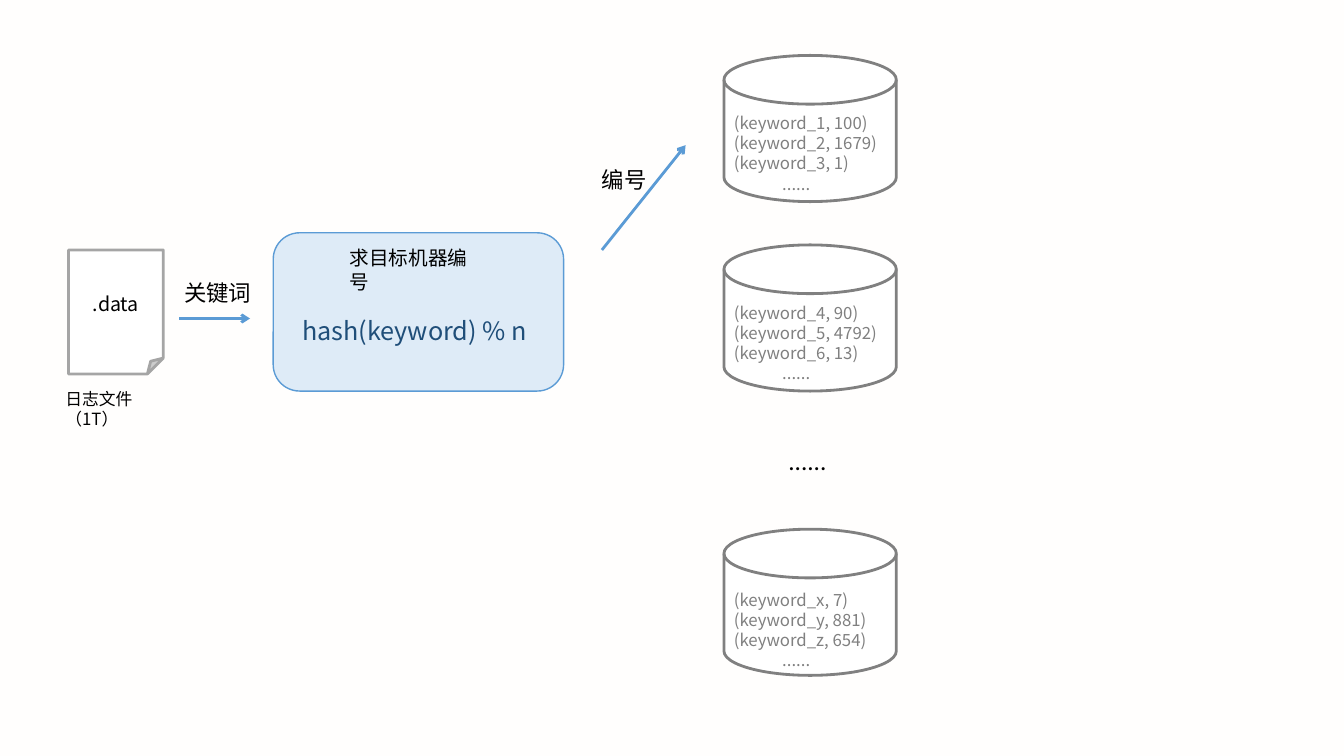
from lxml import etree
from pptx import Presentation
from pptx.dml.color import RGBColor
from pptx.enum.shapes import MSO_CONNECTOR, MSO_SHAPE
from pptx.enum.text import MSO_ANCHOR, PP_ALIGN
from pptx.oxml.ns import qn
from pptx.util import Pt

PX = 9144
CJK_FONT = "Noto Sans CJK SC"
STRAIGHT = MSO_CONNECTOR.STRAIGHT
FOLDED_CORNER = MSO_SHAPE.FOLDED_CORNER
ROUNDED = MSO_SHAPE.ROUNDED_RECTANGLE
DISK = MSO_SHAPE.FLOWCHART_MAGNETIC_DISK
MIDDLE = MSO_ANCHOR.MIDDLE
LEFT, CENTER = PP_ALIGN.LEFT, PP_ALIGN.CENTER
BLACK, WHITE, GRAY, BLUE = "000000", "FFFFFF", "808080", "5B9BD5"
BLANK_LAYOUT = 6
DISK_WIDTH, DISK_HEIGHT = 171, 145
DOTS_INDENT = 48


def color(value):
    return RGBColor.from_string(value)


def emu(*lengths):
    return [length * PX for length in lengths]


def write_lines(frame, lines, size, text_color=BLACK, font=CJK_FONT, align=LEFT):
    frame.text = "\n".join(lines)
    for paragraph in frame.paragraphs:
        paragraph.alignment = align
        paragraph.line_spacing = Pt(size * 1.2)
        paragraph.font.size = Pt(size)
        paragraph.font.name = font
        paragraph.font.color.rgb = color(text_color)
        properties = paragraph.font._element
        etree.SubElement(properties, qn("a:ea")).set("typeface", font)


def add_label(slide, box, lines, size, text_color=BLACK, font=CJK_FONT, wrap=False):
    frame = slide.shapes.add_textbox(*emu(*box)).text_frame
    frame.word_wrap = wrap
    write_lines(frame, lines, size, text_color, font)
    return frame


def add_outlined(slide, kind, box, fill, line, width):
    shape = slide.shapes.add_shape(kind, *emu(*box))
    shape.shadow.inherit = False
    shape.fill.solid()
    shape.fill.fore_color.rgb = color(fill)
    shape.line.color.rgb = color(line)
    shape.line.width = Pt(width)
    return shape


def add_arrow(slide, start, end):
    connector = slide.shapes.add_connector(STRAIGHT, *emu(*start, *end))
    connector.line.color.rgb = color(BLUE)
    connector.line.width = Pt(2)
    line = connector.line._get_or_add_ln()
    etree.SubElement(line, qn("a:tailEnd")).set("type", "arrow")
    etree.SubElement(connector._element.spPr, qn("a:effectLst"))


def add_log_file(slide, left, top):
    file = add_outlined(slide, FOLDED_CORNER, (left, top, 94, 123), WHITE, "A5A5A5", 2)
    file.text_frame.vertical_anchor = MIDDLE
    write_lines(file.text_frame, [".data"], 14, align=CENTER)
    add_label(slide, (left - 13, top + 133, 130, 50), ["日志文件（1T）"], 12, wrap=True)


def add_hash_step(slide, left, top):
    add_outlined(slide, ROUNDED, (left, top, 288, 157), "DEEBF7", BLUE, 1)
    add_label(slide, (left + 66, top + 8, 150, 58), ["求目标机器编号"], 14, wrap=True)
    add_label(slide, (left + 19, top + 77, 251, 40), ["hash(keyword) % n"], 18, "1F4E79")


def add_machine(slide, left, top, text_offset, counts):
    add_outlined(slide, DISK, (left, top, DISK_WIDTH, DISK_HEIGHT), WHITE, GRAY, 2)
    lines = [f"({keyword}, {count})" for keyword, count in counts] + ["......"]
    frame = add_label(slide, (left, top + text_offset, DISK_WIDTH, 91), lines, 12, GRAY, wrap=True)
    dots = frame.paragraphs[-1]._p.get_or_add_pPr()
    dots.set("marL", str(DOTS_INDENT * PX))
    dots.set("indent", "0")


def add_machines(slide, left):
    machines = [
        (55, 52, [("keyword_1", 100), ("keyword_2", 1679), ("keyword_3", 1)]),
        (243, 52, [("keyword_4", 90), ("keyword_5", 4792), ("keyword_6", 13)]),
        (525, 55, [("keyword_x", 7), ("keyword_y", 881), ("keyword_z", 654)]),
    ]
    for top, text_offset, counts in machines:
        add_machine(slide, left, top, text_offset, counts)
    add_label(slide, (left + 54, 437, 62, 40), ["......"], 18, font="Calibri")


def main():
    presentation = Presentation()
    presentation.slide_width, presentation.slide_height = emu(1333, 750)
    slide = presentation.slides.add_slide(presentation.slide_layouts[BLANK_LAYOUT])
    slide.background.fill.solid()
    slide.background.fill.fore_color.rgb = color("FFFEFD")
    add_log_file(slide, 68, 248)
    add_label(slide, (173, 272, 87, 37), ["关键词"], 16)
    add_arrow(slide, (178, 316), (248, 316))
    add_hash_step(slide, 271, 231)
    add_label(slide, (587, 160, 64, 37), ["编号"], 16)
    add_arrow(slide, (597, 248), (680, 144))
    add_machines(slide, 718)
    presentation.save("out.pptx")


if __name__ == "__main__":
    main()
